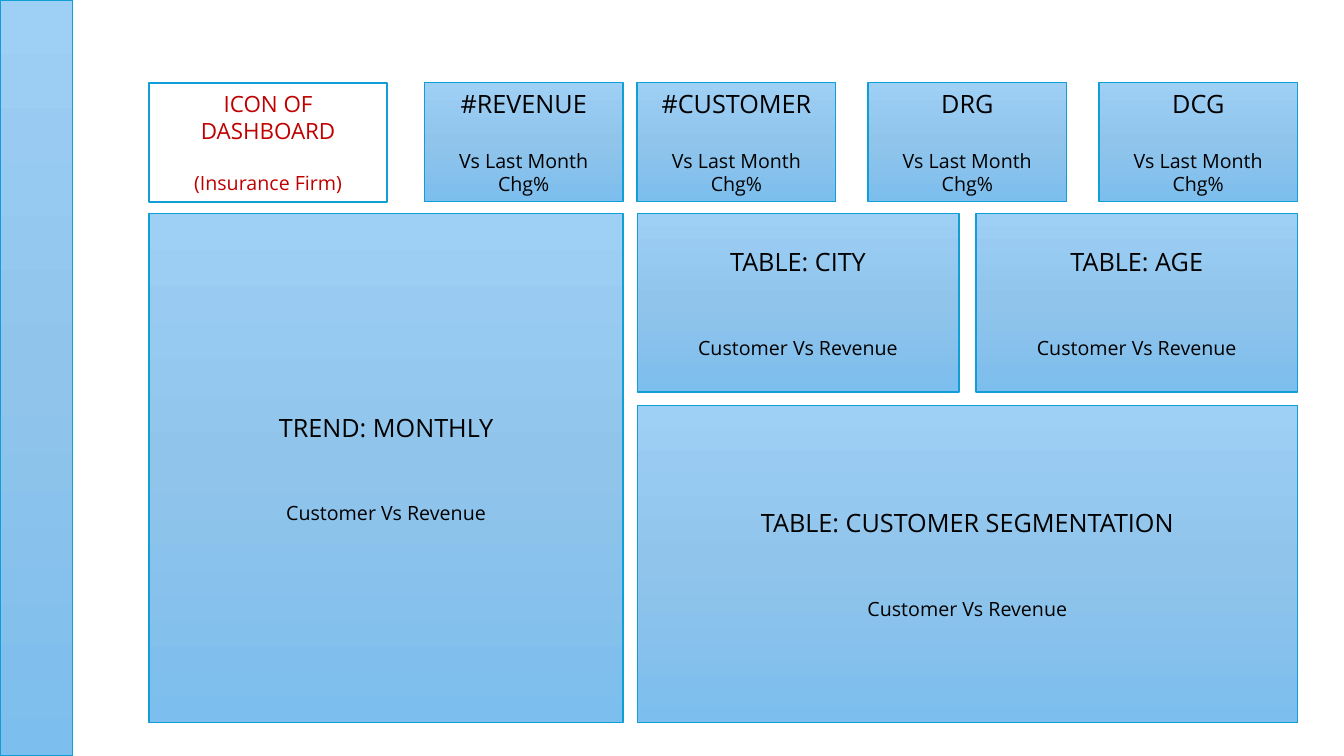
from copy import deepcopy

from pptx import Presentation
from pptx import util as u
from pptx.dml.color import RGBColor
from pptx.enum import shapes, text
from pptx.oxml.ns import qn

COLOURS = {"border": "0F9ED5", "paper": "FFFFFF", "ink": "000000", "accent": "C00000"}
GRADIENT = [(0, "9ECFF5"), (0.5, "90C4EB"), (1, "7CBEED")]
FONT = "Open Sans"

# Each line: words, size in points, space before in points
LOGO_LINES = [("ICON OF DASHBOARD", 16, 0), ("(Insurance Firm)", 14, 19)]
CARD_DETAIL = [("Vs Last Month", 14, 21), ("Chg%", 14, 0)]
PANEL_DETAIL = [("Customer Vs Revenue", 14, 42)]
FIRST_CARD = "#REVENUE"
OTHER_CARDS = ["#CUSTOMER", "DRG", "DCG"]
TREND = "TREND: MONTHLY"
TABLES = ["TABLE: CITY", "TABLE: AGE"]
SEGMENTATION = "TABLE: CUSTOMER SEGMENTATION"

# Grid in inches: two main columns and three rows
WIDTH, HEIGHT = 13.33, 7.5
SIDEBAR_WIDTH = 0.72
LEFT_COLUMN = (1.48, 6.18)
RIGHT_COLUMN = (6.32, 12.87)
CARD_ROW = (0.82, 2.0)
TABLE_ROW = (2.12, 3.89)
SEGMENT_ROW = (4.02, 7.17)
TREND_ROW = (TABLE_ROW[0], SEGMENT_ROW[1])
LOGO_WIDTH, CARD_WIDTH, TABLE_WIDTH = 2.36, 1.97, 3.19


def spread(column, count, width):
    """Return equally spaced spans that fill a column from edge to edge."""
    left, right = column
    step = (right - left - width) / (count - 1)
    return [(left + i * step, left + i * step + width) for i in range(count)]


def fill_gradient(shape):
    shape.fill.gradient()
    shape.fill.gradient_angle = 270
    stop_list = shape._element.spPr.find(".//" + qn("a:gsLst"))
    stop_list.insert(1, deepcopy(stop_list[0]))
    for stop, (position, colour) in zip(shape.fill.gradient_stops, GRADIENT):
        stop.position = position
        stop.color.rgb = RGBColor.from_string(colour)


def write_lines(shape, lines, colour):
    frame = shape.text_frame
    frame.word_wrap = True
    frame.vertical_anchor = text.MSO_ANCHOR.MIDDLE
    for index, (words, size, space) in enumerate(lines):
        paragraph = frame.add_paragraph() if index else frame.paragraphs[0]
        paragraph.alignment = text.PP_ALIGN.CENTER
        paragraph.space_before = u.Pt(space)
        run = paragraph.add_run()
        run.text = words
        for name, value in {"name": FONT, "size": u.Pt(size)}.items():
            setattr(run.font, name, value)
        run.font.color.rgb = RGBColor.from_string(COLOURS[colour])


def add_box(slide, column, row, lines=(), plain=False):
    left, right = column
    top, bottom = row
    shape = slide.shapes.add_shape(
        shapes.MSO_SHAPE.RECTANGLE,
        *(u.Inches(value) for value in (left, top, right - left, bottom - top)))
    shape.shadow.inherit = False
    if plain:
        shape.fill.solid()
        shape.fill.fore_color.rgb = RGBColor.from_string(COLOURS["paper"])
    else:
        fill_gradient(shape)
    shape.line.color.rgb = RGBColor.from_string(COLOURS["border"])
    shape.line.width = u.Pt(1.5 if plain else 1)
    write_lines(shape, lines, "accent" if plain else "ink")


def main():
    presentation = Presentation()
    presentation.slide_width = u.Inches(WIDTH)
    presentation.slide_height = u.Inches(HEIGHT)
    slide = presentation.slides.add_slide(presentation.slide_layouts[6])

    add_box(slide, (0, SIDEBAR_WIDTH), (0, HEIGHT))

    left, right = LEFT_COLUMN
    card_spans = [(right - CARD_WIDTH, right)]
    card_spans += spread(RIGHT_COLUMN, len(OTHER_CARDS), CARD_WIDTH)
    for title, span in zip([FIRST_CARD] + OTHER_CARDS, card_spans):
        add_box(slide, span, CARD_ROW, [(title, 18, 0)] + CARD_DETAIL)
    add_box(slide, (left, left + LOGO_WIDTH), CARD_ROW, LOGO_LINES, plain=True)

    panels = [(TREND, LEFT_COLUMN, TREND_ROW)]
    table_spans = spread(RIGHT_COLUMN, len(TABLES), TABLE_WIDTH)
    panels += [(title, span, TABLE_ROW) for title, span in zip(TABLES, table_spans)]
    panels.append((SEGMENTATION, RIGHT_COLUMN, SEGMENT_ROW))
    for title, column, row in panels:
        add_box(slide, column, row, [(title, 18, 0)] + PANEL_DETAIL)

    presentation.save("out.pptx")


if __name__ == "__main__":
    main()
